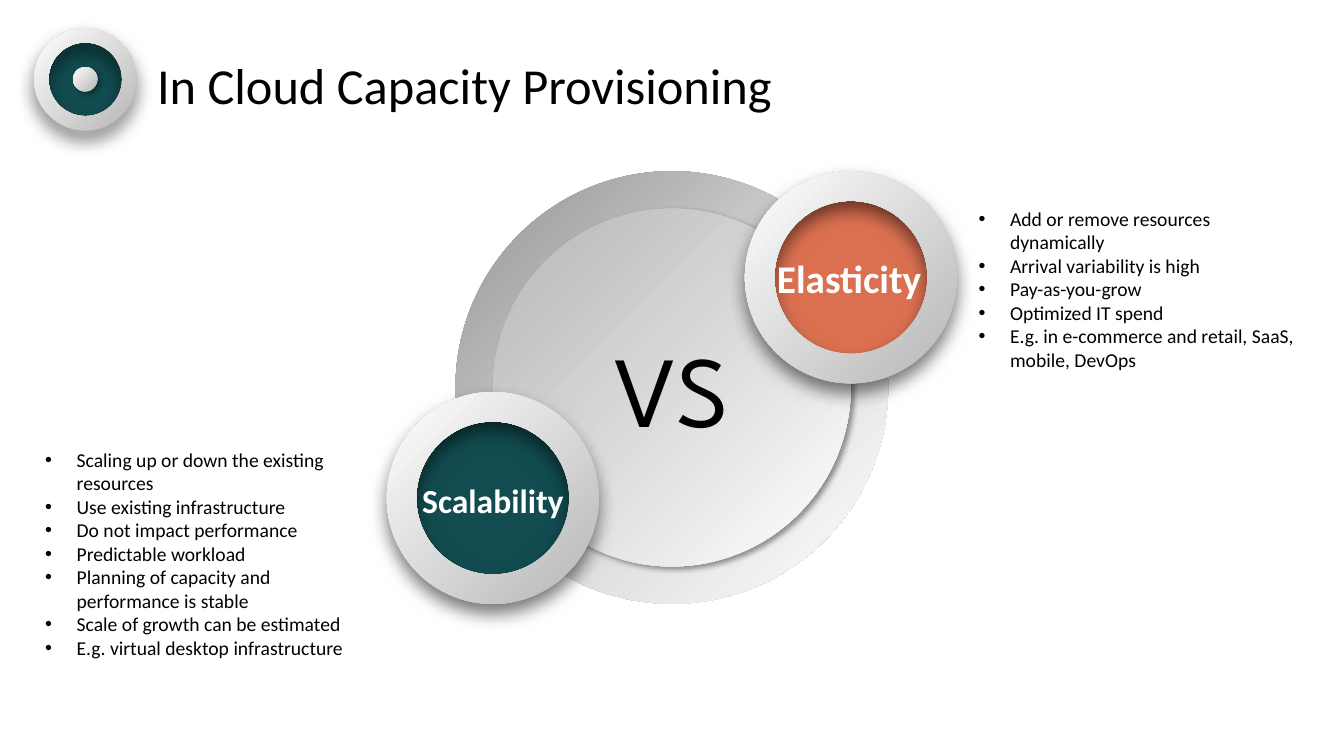
from lxml import etree
from pptx import Presentation
from pptx.dml.color import RGBColor
from pptx.enum.shapes import MSO_SHAPE
from pptx.enum.text import MSO_ANCHOR, PP_ALIGN
from pptx.oxml.ns import qn
from pptx.util import Pt

ELLIPSE, DONUT = MSO_SHAPE.OVAL, MSO_SHAPE.DONUT
MIDDLE, CENTER = MSO_ANCHOR.MIDDLE, PP_ALIGN.CENTER

TEAL, CORAL, BLACK, WHITE = "124C50", "DB7051", "000000", "FFFFFF"
SILVER = [(0, "BFBFBF"), (12, "BFBFBF"), (100, "FFFFFF")]
STEEL = [(0, "939393"), (50, "D5D5D5"), (100, "FFFFFF")]

# Opacity in percent, blur and distance in points, direction in degrees
SOFT_SHADOW = (40, 4, 3, 45)
DEEP_SHADOW = (53, 13, 7, 90)

RING_THICKNESS = 0.139
CORE_RATIO = 0.78
BULLET_INDENT = Pt(22.5)

ELASTICITY = [
    "Add or remove resources dynamically",
    "Arrival variability is high",
    "Pay-as-you-grow",
    "Optimized IT spend",
    "E.g. in e-commerce and retail, SaaS, mobile, DevOps",
]
SCALABILITY = [
    "Scaling up or down the existing resources",
    "Use existing infrastructure",
    "Do not impact performance",
    "Predictable workload",
    "Planning of capacity and performance is stable",
    "Scale of growth can be estimated",
    "E.g. virtual desktop infrastructure",
]


def color(value):
    return RGBColor.from_string(value)


def add_child(parent, tag, **attributes):
    child = etree.SubElement(parent, qn(tag))
    for name, value in attributes.items():
        child.set(name, str(value))
    return child


def fill_gradient(shape, stops):
    """Fill diagonally, from the top left to the bottom right."""
    shape.fill.gradient()
    shape.fill.gradient_angle = 315
    stop_list = shape._element.spPr.find(qn("a:gradFill")).find(qn("a:gsLst"))
    for old_stop in list(stop_list):
        stop_list.remove(old_stop)
    for position, value in stops:
        stop = add_child(stop_list, "a:gs", pos=position * 1000)
        add_child(stop, "a:srgbClr", val=value)


def add_shadow(shape, opacity, blur, distance, direction):
    effects = shape._element.spPr.find(qn("a:effectLst"))
    shadow = add_child(effects, "a:outerShdw", blurRad=Pt(blur), dist=Pt(distance),
                       dir=direction * 60000, algn="ctr", rotWithShape=0)
    shadow_color = add_child(shadow, "a:srgbClr", val=BLACK)
    add_child(shadow_color, "a:alpha", val=opacity * 1000)


def add_round(shapes, kind, center, size, fill, shadow=None, thickness=None, rotation=0):
    """Add a disc or ring around a center; fill is a color or gradient stops."""
    x, y = center
    shape = shapes.add_shape(kind, Pt(x - size / 2), Pt(y - size / 2), Pt(size), Pt(size))
    shape.rotation = rotation
    shape.line.fill.background()
    shape.shadow.inherit = False
    if thickness:
        shape.adjustments[0] = thickness
    if isinstance(fill, str):
        shape.fill.solid()
        shape.fill.fore_color.rgb = color(fill)
    else:
        fill_gradient(shape, fill)
    if shadow:
        add_shadow(shape, *shadow)
    return shape


def add_badge(slide, center, size, fill, dot_size=None):
    """Add a colored disc inside a silver ring, with an optional silver dot."""
    shapes = slide.shapes.add_group_shape().shapes
    add_round(shapes, ELLIPSE, center, size * CORE_RATIO, fill)
    if dot_size:
        add_round(shapes, ELLIPSE, center, dot_size, SILVER, SOFT_SHADOW, rotation=180)
    add_round(shapes, DONUT, center, size, SILVER, DEEP_SHADOW, RING_THICKNESS, 180)


def add_run(paragraph, text, size, value=BLACK, font="Calibri", bold=False):
    run = paragraph.add_run()
    run.text = text
    run.font.size = Pt(size)
    run.font.name = font
    run.font.bold = bold
    run.font.color.rgb = color(value)


def add_text_box(slide, box, wrap=True):
    frame = slide.shapes.add_textbox(*map(Pt, box)).text_frame
    frame.word_wrap = wrap
    return frame


def add_label(slide, box, text, size, value=BLACK, bold=False):
    frame = add_text_box(slide, box, wrap=False)
    add_run(frame.paragraphs[0], text, size, value, bold=bold)


def add_bullets(slide, box, items):
    frame = add_text_box(slide, box)
    for index, item in enumerate(items):
        paragraph = frame.add_paragraph() if index else frame.paragraphs[0]
        properties = paragraph._p.get_or_add_pPr()
        properties.set("marL", str(BULLET_INDENT))
        properties.set("indent", str(-BULLET_INDENT))
        bullet_color = add_child(properties, "a:buClr")
        add_child(bullet_color, "a:srgbClr", val=BLACK)
        add_child(properties, "a:buFont", typeface="Arial")
        add_child(properties, "a:buChar", char="•")
        add_run(paragraph, item, 14)


def add_hub(slide, center):
    """Add the large central dish with the word VS."""
    add_round(slide.shapes, DONUT, center, 309, STEEL, thickness=0.096)
    disc = add_round(slide.shapes, ELLIPSE, center, 255.6, SILVER, SOFT_SHADOW)
    frame = disc.text_frame
    frame.vertical_anchor = MIDDLE
    paragraph = frame.paragraphs[0]
    paragraph.alignment = CENTER
    add_run(paragraph, "VS", 72, font="League Spartan")


def main():
    presentation = Presentation()
    presentation.slide_width, presentation.slide_height = Pt(960), Pt(540)
    slide = presentation.slides.add_slide(presentation.slide_layouts[6])

    # Heading
    add_badge(slide, (60.9, 56.6), 72.9, TEAL, dot_size=17.4)
    add_label(slide, (105.1, 35.3, 478, 51), "In Cloud Capacity Provisioning", 36)

    # Comparison circles
    add_hub(slide, (479.9, 276.8))
    add_badge(slide, (352, 355.7), 151.4, TEAL)
    add_badge(slide, (607.8, 198.1), 151.4, CORAL)
    add_label(slide, (547.9, 177.8, 118.8, 41), "Elasticity", 28, WHITE, bold=True)
    add_label(slide, (294.5, 339.1, 116.6, 36), "Scalability", 24, WHITE, bold=True)

    # Characteristics
    add_bullets(slide, (691.9, 144, 244.8, 126), ELASTICITY)
    add_bullets(slide, (25.2, 316.1, 244.8, 160), SCALABILITY)

    presentation.save("out.pptx")


if __name__ == "__main__":
    main()
